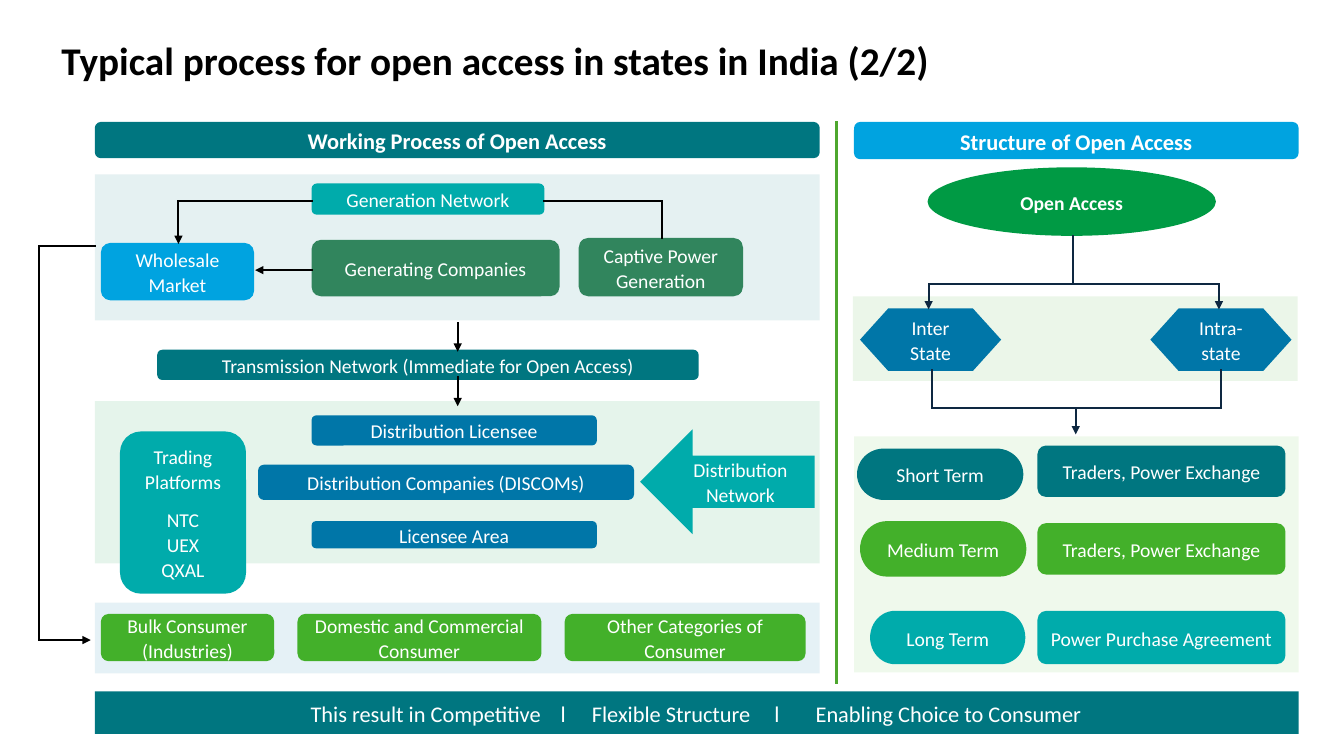
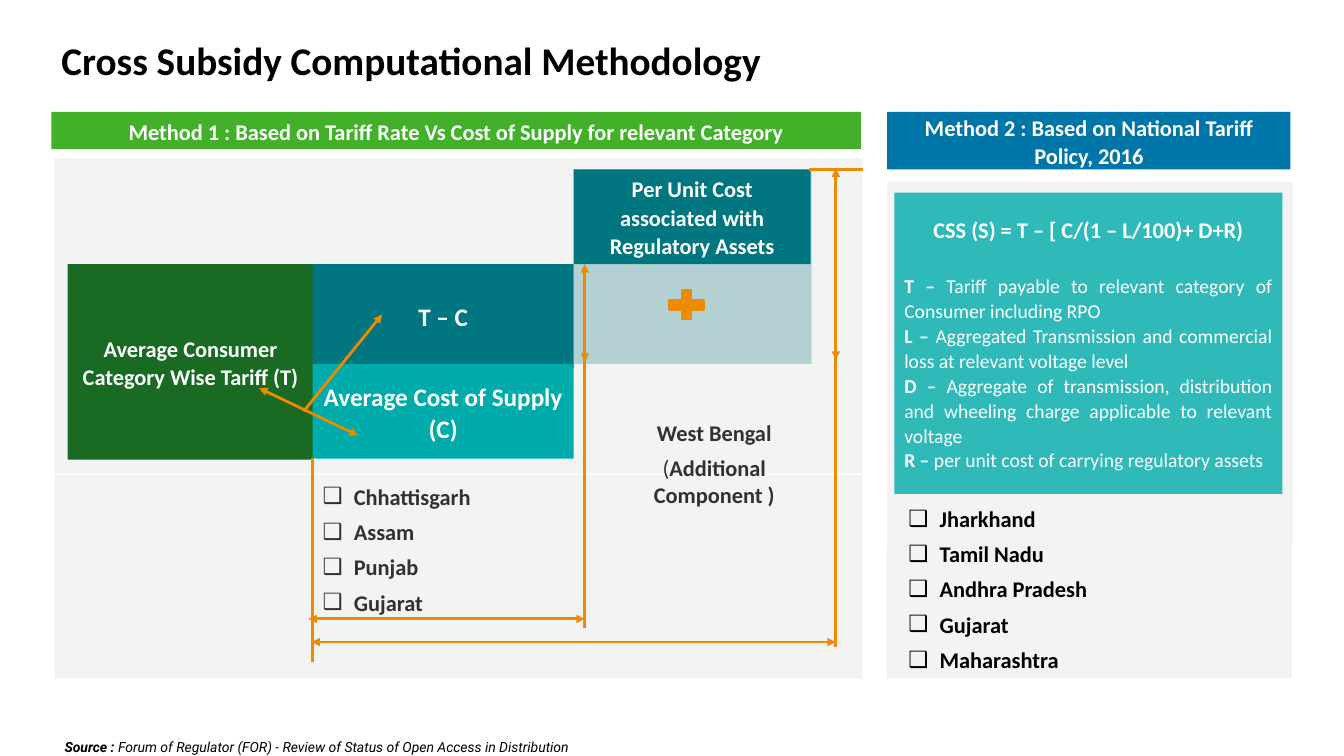
from lxml import etree
from pptx import Presentation
from pptx.dml.color import RGBColor
from pptx.enum.shapes import MSO_CONNECTOR, MSO_SHAPE
from pptx.enum.text import MSO_ANCHOR, MSO_AUTO_SIZE, PP_ALIGN
from pptx.oxml.ns import qn
from pptx.util import Inches, Pt

RECT, ROUND = MSO_SHAPE.RECTANGLE, MSO_SHAPE.ROUNDED_RECTANGLE
OVAL, HEX = MSO_SHAPE.OVAL, MSO_SHAPE.FLOWCHART_PREPARATION
PILL, ARROW = MSO_SHAPE.FLOWCHART_TERMINATOR, MSO_SHAPE.LEFT_ARROW
PLUS, LINE = MSO_SHAPE.MATH_PLUS, MSO_CONNECTOR.STRAIGHT
LEFT, CENTER, FULL = PP_ALIGN.LEFT, PP_ALIGN.CENTER, PP_ALIGN.JUSTIFY
TOP, MIDDLE = MSO_ANCHOR.TOP, MSO_ANCHOR.MIDDLE
FIXED = MSO_AUTO_SIZE.NONE

WHITE, BLACK, INK, NAVY = "FFFFFF", "000000", "313131", "0E2841"
TEAL, AQUA, SKY, BLUE = "007680", "00ABAB", "00A3E0", "0076A8"
LIME, GREEN, PINE, FOREST = "43B02A", "009A44", "046A38", "196B24"
GRAY, ORANGE = "E8E8E8", "ED8B00"


def paint(color, value):
    color.rgb = RGBColor.from_string(value)


def write(frame, text, size=14, color=WHITE, bold=False, italic=False,
          font="Calibri", align=CENTER, space=1.06, before=0,
          bullet=None, tabs=()):
    """Add a paragraph; text is a string or a list of (string, bold) runs."""
    para = frame.add_paragraph() if frame.text else frame.paragraphs[0]
    para.alignment, para.line_spacing = align, space
    para.space_before = Pt(before)
    props = para._p.get_or_add_pPr()
    if bullet:
        props.set("marL", str(Inches(0.31)))
        props.set("indent", str(-Inches(0.31)))
        etree.SubElement(props, qn("a:buChar")).set("char", bullet)
    if tabs:
        stops = etree.SubElement(props, qn("a:tabLst"))
        for stop in tabs:
            etree.SubElement(stops, qn("a:tab"), pos=str(Inches(stop)), algn="l")
    for words, heavy in [(text, bold)] if isinstance(text, str) else text:
        run = para.add_run()
        run.text = words
        run.font.name, run.font.size = font, Pt(size)
        run.font.bold, run.font.italic = heavy, italic
        paint(run.font.color, color)


class Deck:
    def __init__(self):
        self.file = Presentation()
        self.file.slide_width = Inches(13.33)
        self.file.slide_height = Inches(7.5)
        self.slide = None

    def page(self, layout, title):
        self.slide = self.file.slides.add_slide(self.file.slide_layouts[layout])
        head = self.slide.shapes.title
        self.place(head, 0.51, 0.44, 12.31, 0.37)
        frame = self.frame(head, MIDDLE, 0.1, 0.05)
        write(frame, title, size=28, color=BLACK, bold=True, align=LEFT, space=0.9)

    def place(self, shape, *box):
        shape.left, shape.top, shape.width, shape.height = map(Inches, box)

    def frame(self, shape, anchor, side, end):
        frame = shape.text_frame
        frame.word_wrap, frame.auto_size = True, FIXED
        frame.vertical_anchor = anchor
        frame.margin_left = frame.margin_right = Inches(side)
        frame.margin_top = frame.margin_bottom = Inches(end)
        return frame

    def shape(self, box, fill, text=None, kind=RECT, alpha=100, **fmt):
        item = self.slide.shapes.add_shape(kind, *map(Inches, box))
        item.shadow.inherit = False
        item.fill.solid()
        paint(item.fill.fore_color, fill)
        item.line.fill.background()
        if alpha < 100:
            tint = item._element.spPr.find(qn("a:solidFill"))[0]
            etree.SubElement(tint, qn("a:alpha")).set("val", str(alpha * 1000))
        frame = self.frame(item, MIDDLE, 0.1, 0.1)
        if text:
            for part in [text] if isinstance(text, str) else text:
                write(frame, part, **fmt)
        return item

    def text(self, *box):
        return self.frame(self.slide.shapes.add_textbox(*map(Inches, box)), TOP, 0, 0)

    def items(self, index, box, names, color):
        body = self.slide.placeholders[index]
        self.place(body, *box)
        # Bring the list in front of the panels
        self.slide.shapes._spTree.append(body._element)
        frame = self.frame(body, TOP, 0, 0)
        for row, name in enumerate(names):
            write(frame, name, size=16, color=color, bold=True, align=LEFT,
                  space=1, before=6 if row else 0, bullet="❑")

    def route(self, *points, color=BLACK, width=1.5, head=False, tail=False):
        """Join the points with straight lines, with arrowheads at the ends."""
        last = len(points) - 2
        for step, (start, end) in enumerate(zip(points, points[1:])):
            line = self.slide.shapes.add_connector(LINE, *map(Inches, start + end))
            paint(line.line.color, color)
            line.line.width = Pt(width)
            edge = line.line._get_or_add_ln()
            edge.set("cap", "sq")
            if head and step == 0:
                etree.SubElement(edge, qn("a:headEnd")).set("type", "triangle")
            if tail and step == last:
                etree.SubElement(edge, qn("a:tailEnd")).set("type", "triangle")
            etree.SubElement(line._element.spPr, qn("a:effectLst"))


def process(deck):
    deck.page(5, "Typical process for open access in states in India (2/2)")

    # Tinted panels
    for box, fill, alpha in [
        ((8.46, 2.94, 4.41, 0.84), LIME, 10),
        ((8.47, 4.33, 4.41, 2.34), "D9F2D0", 40),
        ((0.94, 5.98, 7.19, 0.7), BLUE, 10),
        ((0.94, 3.98, 7.19, 1.61), GREEN, 10),
        ((0.94, 1.73, 7.19, 1.45), TEAL, 10),
    ]:
        deck.shape(box, fill, alpha=alpha)

    # Column headers and divider
    deck.shape((0.94, 1.21, 7.19, 0.36), TEAL, "Working Process of Open Access",
               ROUND, size=16, bold=True)
    deck.shape((8.47, 1.21, 4.41, 0.37), SKY, "Structure of Open Access",
               ROUND, size=16, bold=True)
    deck.route((8.3, 1.21), (8.3, 6.77), color="4EA72E", width=2)

    # Generation, transmission and distribution
    for box, fill, text, alpha in [
        ((1, 2.41, 1.52, 0.57), SKY, "Wholesale Market", 100),
        ((3.09, 2.38, 2.46, 0.56), PINE, "Generating Companies", 80),
        ((5.74, 2.36, 1.63, 0.58), PINE, "Captive Power Generation", 80),
        ((3.09, 1.82, 2.31, 0.31), AQUA, "Generation Network", 100),
        ((1.56, 3.47, 5.37, 0.3), TEAL,
         "Transmission Network (Immediate for Open Access)", 100),
        ((3.09, 4.12, 2.83, 0.3), BLUE, "Distribution Licensee", 100),
        ((2.56, 4.61, 3.73, 0.35), BLUE, "Distribution Companies (DISCOMs)", 100),
        ((3.09, 5.17, 2.83, 0.27), BLUE, "Licensee Area", 100),
    ]:
        deck.shape(box, fill, text, ROUND, alpha)
    deck.shape((6.35, 4.26, 1.73, 1.04), AQUA, "Distribution Network", ARROW)
    trade = deck.shape((1.19, 4.28, 1.25, 1.61), AQUA, "Trading Platforms", ROUND)
    for name, gap in [("NTC", 9), ("UEX", 0), ("QXAL", 0)]:
        write(trade.text_frame, name, before=gap)

    # Consumers
    for left, width, text in [
        (1, 1.72, ["Bulk Consumer", "(Industries)"]),
        (2.95, 2.42, "Domestic and Commercial Consumer"),
        (5.6, 2.39, "Other Categories of Consumer"),
    ]:
        deck.shape((left, 6.09, width, 0.47), LIME, text, ROUND)

    # Process arrows
    deck.route((3.09, 1.99), (1.77, 1.99), (1.77, 2.42), tail=True)
    deck.route((5.4, 1.99), (6.57, 1.99), (6.57, 2.36))
    deck.route((3.09, 2.68), (2.53, 2.68), tail=True)
    for top in (3.2, 3.74):
        deck.route((4.54, top), (4.54, top + 0.29), tail=True)
    deck.route((0.94, 2.44), (0.39, 2.44), (0.39, 6.35), (0.9, 6.35), tail=True)

    # Structure tree
    deck.shape((9.2, 1.66, 2.86, 0.68), GREEN, "Open Access", OVAL, bold=True)
    for left, text in [(8.53, "Inter State"), (11.41, "Intra-state")]:
        deck.shape((left, 3.06, 1.4, 0.62), BLUE, text, HEX)
    deck.route((10.64, 2.34), (10.64, 2.82), color=NAVY)
    for x in (9.21, 12.09):
        deck.route((10.64, 2.82), (x, 2.82), (x, 3.07), color=NAVY, tail=True)
    deck.route((9.24, 3.67), (9.24, 4.05), (12.11, 4.05), (12.11, 3.67), color=NAVY)
    deck.route((10.67, 4.05), (10.67, 4.31), color=NAVY, tail=True)

    # Terms and their channels
    for fill, term, pill, channel, top, height in [
        (TEAL, "Short Term", (8.5, 4.45, 1.65, 0.51),
         "Traders, Power Exchange", 4.42, 0.51),
        (LIME, "Medium Term", (8.53, 5.17, 1.65, 0.55),
         "Traders, Power Exchange", 5.19, 0.51),
        (AQUA, "Long Term", (8.63, 6.06, 1.54, 0.53),
         "Power Purchase Agreement", 6.06, 0.53),
    ]:
        deck.shape(pill, fill, term, PILL)
        deck.shape((10.29, top, 2.46, height), fill, channel, ROUND)

    # Result band
    band = deck.shape((0.94, 6.86, 11.94, 0.42), TEAL)
    band.text_frame.margin_left = Inches(2.14)
    write(band.text_frame,
          "This result in Competitive\tl\tFlexible Structure\tl\t"
          "Enabling Choice to Consumer",
          size=16, align=LEFT, tabs=(2.48, 2.79, 4.6, 5.01))


def method(deck):
    deck.page(3, "Cross Subsidy Computational Methodology")

    # Panels
    deck.shape((5.69, 1.68, 2.36, 1.93), TEAL, alpha=50)
    for box in [(8.79, 5.42, 4.02, 1.31), (0.54, 4.71, 8.01, 2.02),
                (0.54, 1.57, 8.01, 3.13), (8.8, 1.8, 4.02, 3.63)]:
        deck.shape(box, GRAY, alpha=50)

    # Headers and cost blocks
    for box, fill, text, size in [
        ((0.51, 1.11, 8.03, 0.37), LIME,
         "Method 1 : Based on Tariff Rate Vs Cost of Supply for relevant Category", 16),
        ((8.8, 1.11, 4, 0.57), BLUE,
         "Method 2 : Based on National Tariff Policy, 2016", 16),
        ((0.67, 2.62, 2.44, 1.94), FOREST,
         "Average Consumer Category Wise Tariff (T)", 16),
        ((5.69, 1.68, 2.35, 0.94), TEAL,
         "Per Unit Cost associated with Regulatory Assets", 16),
        ((3.1, 2.62, 2.59, 1.03), TEAL, "T – C", 18),
        ((3.1, 3.61, 2.59, 0.94), AQUA, "Average Cost of Supply (C)", 18),
    ]:
        deck.shape(box, fill, text, size=size, bold=True)
    plus = deck.shape((6.58, 2.83, 0.46, 0.39), ORANGE, kind=PLUS)
    paint(plus.line.color, ORANGE)
    plus.line.width = Pt(1.5)

    # Formula and its terms
    card = deck.shape((8.87, 1.91, 3.85, 2.99), AQUA,
                      "CSS (S) = T – [ C/(1 – L/100)+ D+R)", alpha=80,
                      size=16, bold=True)
    for key, text, gap in [
        ("T – ", "Tariff payable to relevant category of Consumer including RPO", 21),
        ("L – ", "Aggregated Transmission and commercial loss at relevant "
                 "voltage level", 0),
        ("D – ", "Aggregate of transmission, distribution and wheeling charge "
                 "applicable to relevant voltage", 0),
        ("R – ", "per unit cost of carrying regulatory assets", 0),
    ]:
        write(card.text_frame, [(key, True), (text, False)], align=FULL, before=gap)

    # Measuring lines
    for start, end, head, tail in [
        ((2.57, 3.85), (3.55, 4.32), True, True),
        ((3.02, 4.07), (3.79, 3.12), False, True),
        ((8.29, 1.67), (8.29, 3.57), True, True),
        ((8.04, 1.68), (8.55, 1.68), False, False),
        ((5.8, 2.62), (5.8, 3.59), True, True),
        ((3.06, 6.14), (5.8, 6.14), True, True),
        ((3.09, 6.37), (8.29, 6.37), True, True),
        ((3.1, 4.56), (3.1, 6.55), False, False),
        ((8.29, 3.55), (8.29, 6.4), False, False),
        ((5.8, 3.57), (5.8, 6.22), False, False),
    ]:
        deck.route(start, end, color=ORANGE, width=2, head=head, tail=tail)

    # States using each method
    deck.items(1, (3.2, 4.79, 2.49, 1.33),
               ["Chhattisgarh", "Assam", "Punjab", "Gujarat"], INK)
    deck.items(2, (9.01, 5.01, 3.27, 1.68),
               ["Jharkhand", "Tamil Nadu", "Andhra Pradesh", "Gujarat",
                "Maharashtra"], BLACK)
    extra = deck.text(5.97, 4.16, 2.23, 0.89)
    write(extra, "West Bengal", size=16, color=INK, bold=True, space=1)
    write(extra, [("(", False), ("Additional Component )", True)],
          size=16, color=INK, space=1, before=6)

    # Source line
    write(deck.text(0.64, 7.33, 9.44, 0.17),
          [("Source : ", True),
           ("Forum of Regulator (FOR) - Review of Status of Open Access "
            "in Distribution", False)],
          size=10, color=BLACK, italic=True, font="Roboto", align=LEFT, space=1)


def main():
    deck = Deck()
    process(deck)
    method(deck)
    deck.file.save("out.pptx")


if __name__ == "__main__":
    main()
